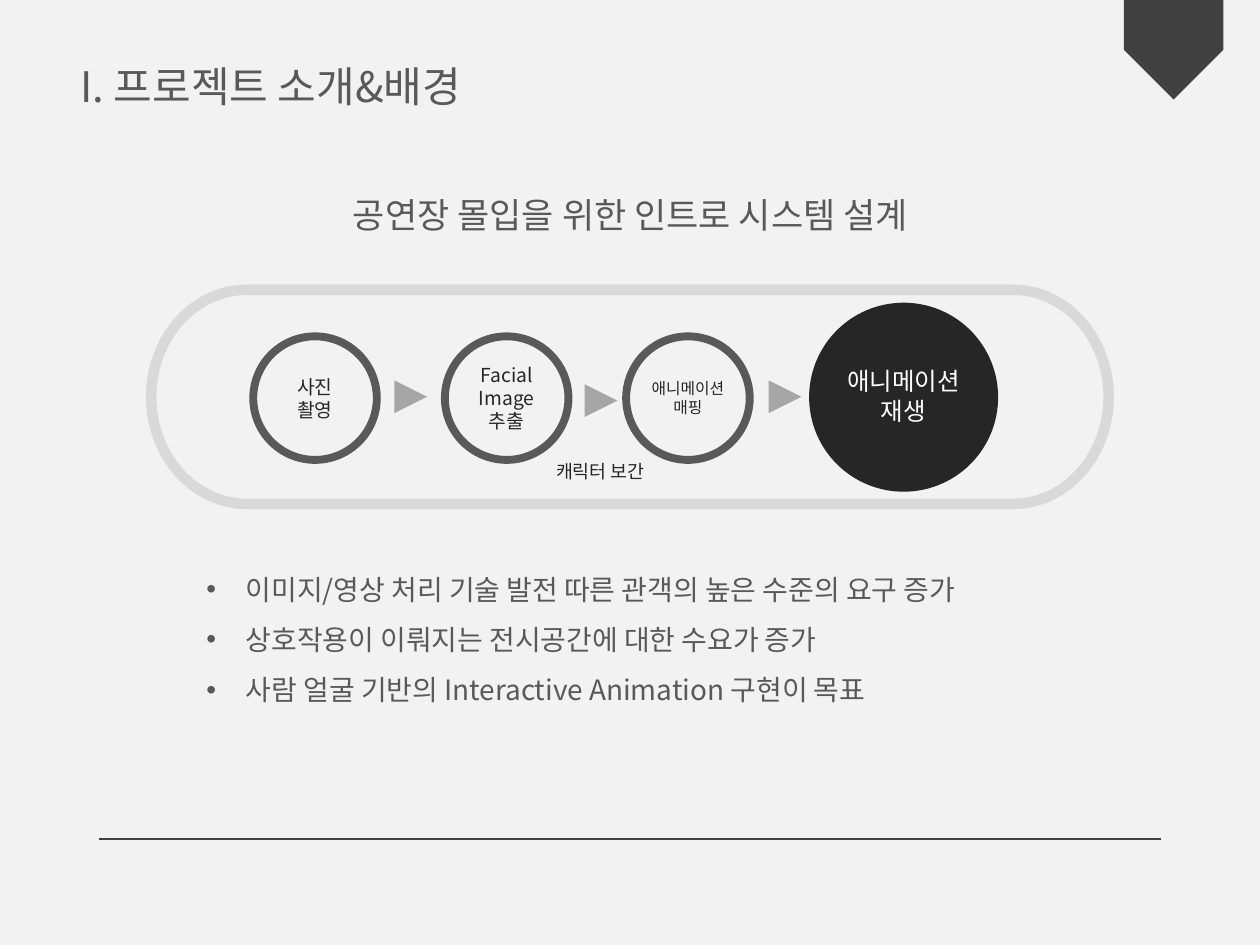
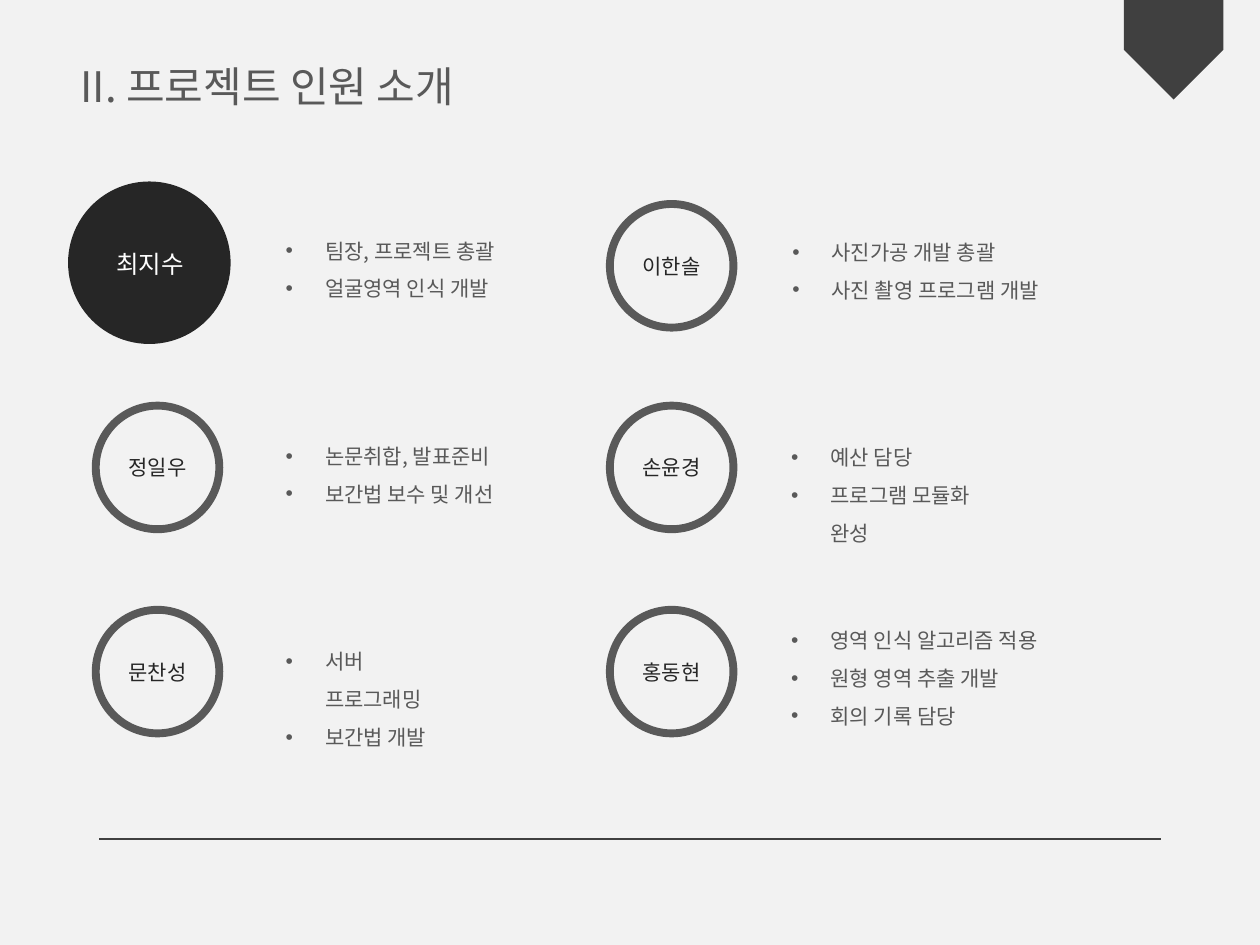
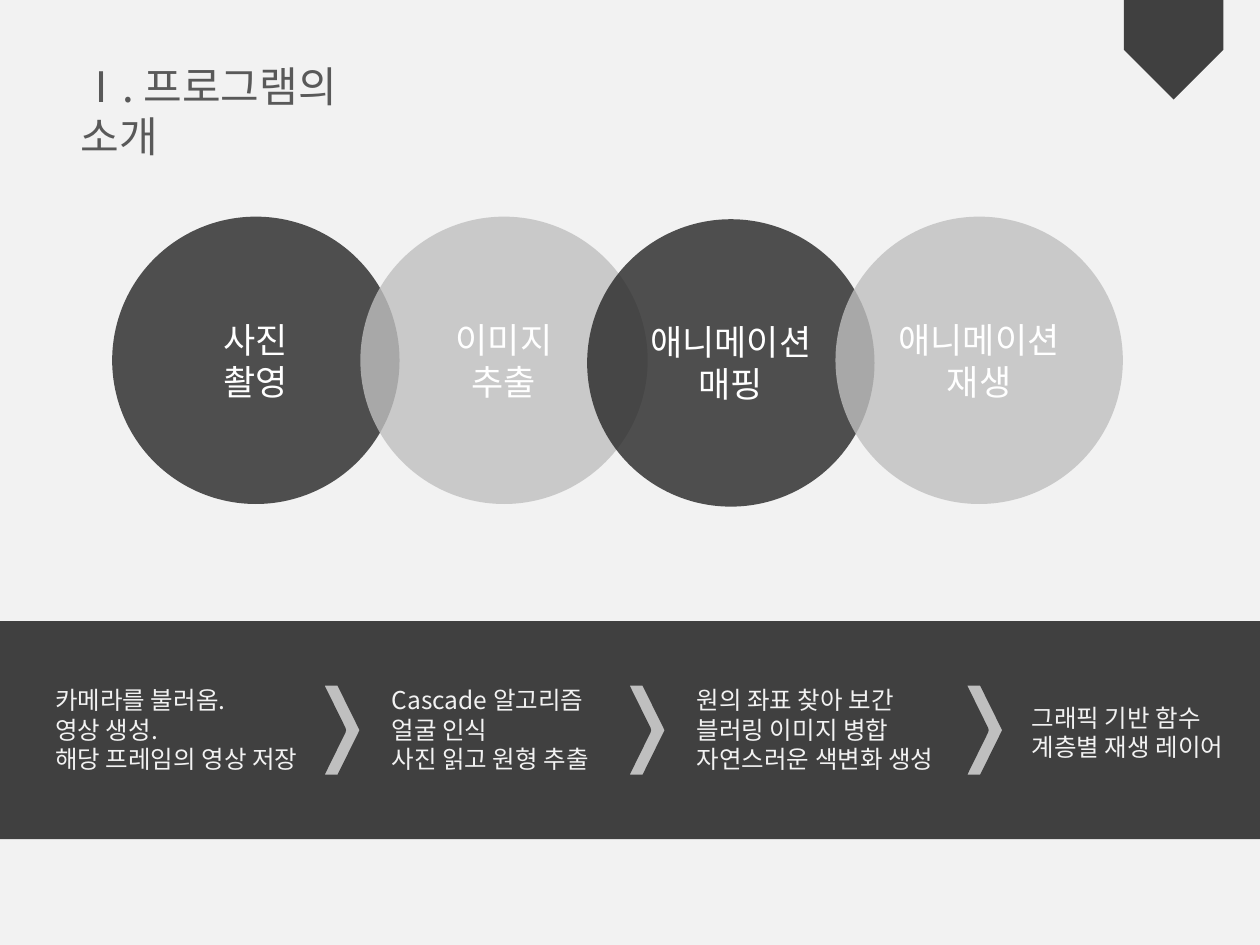
import math
from dataclasses import dataclass

import lxml.etree
import pptx
import pptx.dml.color
import pptx.enum.shapes
import pptx.enum.text
import pptx.oxml.ns
import pptx.util

Pt = pptx.util.Pt
Kind = pptx.enum.shapes.MSO_SHAPE
Align = pptx.enum.text.PP_ALIGN
Anchor = pptx.enum.text.MSO_ANCHOR
Fit = pptx.enum.text.MSO_AUTO_SIZE
rgb = pptx.dml.color.RGBColor.from_string
qn = pptx.oxml.ns.qn
sub = lxml.etree.SubElement


@dataclass(frozen=True)
class Theme:
    font: str = "Noto Sans CJK KR"
    paper: str = "F2F2F2"
    white: str = "FFFFFF"
    gray: str = "595959"
    dark: str = "404040"
    black: str = "262626"
    arrow: str = "A6A6A6"
    pale: str = "BFBFBF"
    track: str = "D9D9D9"
    title: float = 24
    head: float = 20
    body: float = 16
    note: float = 14
    name: float = 12
    step: float = 11
    label: float = 10.5
    small: float = 9


theme = Theme()


def write(page, box, text, shape=None, size=theme.name, ink=theme.gray,
          align=None, inset=None, bullet=False):
    """Put text, one paragraph per list item, in the shape or in a new text box."""
    frame = (shape or page.shapes.add_textbox(*map(Pt, box))).text_frame
    frame.word_wrap = True
    if shape:
        frame.vertical_anchor = Anchor.MIDDLE
    else:
        frame.auto_size = Fit.SHAPE_TO_FIT_TEXT
    if inset is not None:
        frame.margin_left = frame.margin_right = Pt(inset)
        frame.margin_top = frame.margin_bottom = Pt(inset)
    for i, line in enumerate([text] if isinstance(text, str) else text):
        para = frame.add_paragraph() if i else frame.paragraphs[0]
        para.text = line
        para.alignment = align
        if bullet:
            props = para._p.get_or_add_pPr()
            props.set("marL", str(Pt(22.5)))
            props.set("indent", str(Pt(-22.5)))
            sub(props, qn("a:buFont"), typeface="Arial")
            sub(props, qn("a:buChar"), char="•")
            para.line_spacing = 1.5
        for gap in para._p.findall(qn("a:br")):
            sub(gap, qn("a:rPr"), sz=str(int(size * 100)))
        for run in para.runs:
            run.font.size = Pt(size)
            run.font.color.rgb = rgb(ink)
            run.font.name = theme.font
            sub(run._r.get_or_add_rPr(), qn("a:ea"), typeface=theme.font)


def draw(page, kind, box, fill=None, edge=None, width=4.5, turn=0, alpha=None):
    shape = page.shapes.add_shape(kind, *map(Pt, box))
    shape.shadow.inherit = False
    shape.rotation = turn
    if fill:
        shape.fill.solid()
        shape.fill.fore_color.rgb = rgb(fill)
        if alpha:
            color = shape._element.spPr.find(".//" + qn("a:srgbClr"))
            sub(color, qn("a:alpha"), val=str(alpha * 1000))
    else:
        shape.fill.background()
    if edge:
        shape.line.color.rgb = rgb(edge)
        shape.line.width = Pt(width)
    else:
        shape.line.fill.background()
    return shape


deck = pptx.Presentation()
deck.slide_width, deck.slide_height = Pt(720), Pt(540)
back = deck.slide_master.background.fill
back.solid()
back.fore_color.rgb = rgb(theme.paper)

# Shared title, ribbon and foot rule
pages = []
for title, width, ruled in [
    ("I. 프로젝트 소개&배경", 233.3, True),
    ("II. 프로젝트 인원 소개", 229.7, True),
    ("Ⅰ. 프로그램의 소개", 208.8, False),
]:
    page = deck.slides.add_slide(deck.slide_layouts[6])
    write(page, (38.9, 31, width, 36), title, size=theme.title)
    if ruled:
        rule = page.shapes.add_connector(
            pptx.enum.shapes.MSO_CONNECTOR.STRAIGHT, Pt(56.7), Pt(479.5), Pt(663.3), Pt(479.5))
        rule.line.color.rgb = rgb(theme.dark)
        rule.line.width = Pt(0.75)
        sub(rule._element.spPr, qn("a:effectLst"))
    draw(page, Kind.PENTAGON, (642.2, 0, 56.9, 56.9), fill=theme.dark, turn=90)
    pages.append(page)
intro, team, program = pages
ring = 70.6

# Slide 1: process and goals
write(intro, (194.4, 107.3, 331.9, 31.7), "공연장 몰입을 위한 인트로 시스템 설계",
      size=theme.head, align=Align.CENTER)
write(intro, (110.9, 313.9, 447.1, 94.3), [
    "이미지/영상 처리 기술 발전 따른 관객의 높은 수준의 요구 증가",
    "상호작용이 이뤄지는 전시공간에 대한 수요가 증가",
    "사람 얼굴 기반의 Interactive Animation 구현이 목표",
], size=theme.body, bullet=True)
for left, text, size, inset in [
    (144.7, "사진\n촬영", theme.step, None),
    (254.2, "Facial\nImage\n추출", theme.step, None),
    (357.8, "애니메이션\n매핑", theme.small, 0),
]:
    step = draw(intro, Kind.OVAL, (left, 192.2, ring, ring), edge=theme.gray)
    write(intro, None, text, step, size=size, ink=theme.black,
          align=Align.CENTER, inset=inset)
draw(intro, Kind.OVAL, (462.4, 173, 108, 108), fill=theme.black)
write(intro, (470.2, 205.9, 92.2, 41), "애니메이션\n재생",
      size=theme.note, ink=theme.white, align=Align.CENTER)
for left, top in [(225.4, 217.4), (334.1, 219.6), (439.2, 217.4)]:
    draw(intro, Kind.FLOWCHART_EXTRACT, (left, top, 18.7, 18.7), fill=theme.arrow, turn=90)

# Rounded track: half an ellipse at each end
curve = []
for mid, start in [(579, -90), (141, 90)]:
    for angle in range(start, start + 181, 5):
        turn = math.radians(angle)
        curve.append((Pt(mid + 54.6 * math.cos(turn)), Pt(226.8 + 61.2 * math.sin(turn))))
path = intro.shapes.build_freeform(*curve[0])
path.add_line_segments(curve[1:], close=True)
track = path.convert_to_shape()
track.shadow.inherit = False
track.fill.background()
track.line.color.rgb = rgb(theme.track)
track.line.width = Pt(6)
write(intro, (303.8, 259.2, 78.5, 20.9), "캐릭터 보간",
      size=theme.label, ink=theme.black, align=Align.CENTER)

# Slide 2: members and their tasks
draw(team, Kind.OVAL, (38.9, 103.7, 92.9, 92.9), fill=theme.black)
write(team, (46.1, 139, 79.2, 24.5), "최지수", size=theme.note, ink=theme.white,
      align=Align.CENTER)
for left, top, name in [
    (54.7, 231.8, "정일우"), (54.7, 348.5, "문찬성"),
    (348.5, 116.6, "이한솔"), (348.5, 231.8, "손윤경"), (348.5, 348.5, "홍동현"),
]:
    badge = draw(team, Kind.OVAL, (left, top, ring, ring), edge=theme.gray)
    write(team, None, name, badge, ink=theme.black, align=Align.CENTER, inset=0)
for left, top, width, tasks in [
    (156.2, 125.3, 133.9, ["팀장, 프로젝트 총괄", "얼굴영역 인식 개발"]),
    (156.2, 242.6, 133.9, ["논문취합, 발표준비", "보간법 보수 및 개선"]),
    (156.2, 360, 116.6, ["서버 프로그래밍", "보간법 개발"]),
    (445.7, 126, 155.5, ["사진가공 개발 총괄", "사진 촬영 프로그램 개발"]),
    (445, 243.4, 141.1, ["예산 담당", "프로그램 모듈화 완성"]),
    (445, 347.8, 155.5, ["영역 인식 알고리즘 적용", "원형 영역 추출 개발", "회의 기록 담당"]),
]:
    write(team, (left, top, width, 7.5 + 21.8 * len(tasks)), tasks, bullet=True)

# Slide 3: program stages and details
draw(program, Kind.RECTANGLE, (0, 355, 720, 124.5), fill=theme.dark)
for left, top, width, lines in [
    (24.5, 388.1, 153.4, ["카메라를 불러옴.", "영상 생성.", "해당 프레임의 영상 저장"]),
    (216.7, 388.1, 128.2, ["Cascade 알고리즘", "얼굴 인식", "사진 읽고 원형 추출"]),
    (391, 388.1, 149.8, ["원의 좌표 찾아 보간", "블러링 이미지 병합", "자연스러운 색변화 생성"]),
    (582.5, 398.2, 123.8, ["그래픽 기반 함수", "계층별 재생 레이어"]),
]:
    write(program, (left, top, width, 7.2 + 17 * len(lines)), lines,
          size=theme.note, ink=theme.paper)
for left in (180.7, 355, 547.9):
    draw(program, Kind.CHEVRON, (left, 388.8, 28.1, 56.9), fill=theme.pale,
         edge=theme.dark, width=6)
for left, top, fill, text in [
    (64.1, 123.8, theme.black, "사진\n촬영"),
    (205.9, 123.8, theme.pale, "이미지\n추출"),
    (335.5, 125.3, theme.black, "애니메이션\n매핑"),
    (477.4, 123.8, theme.pale, "애니메이션\n재생"),
]:
    stage = draw(program, Kind.OVAL, (left, top, 164.2, 164.2), fill=fill, alpha=80)
    write(program, None, text, stage, size=theme.head, ink=theme.white, align=Align.CENTER)

deck.save("out.pptx")
